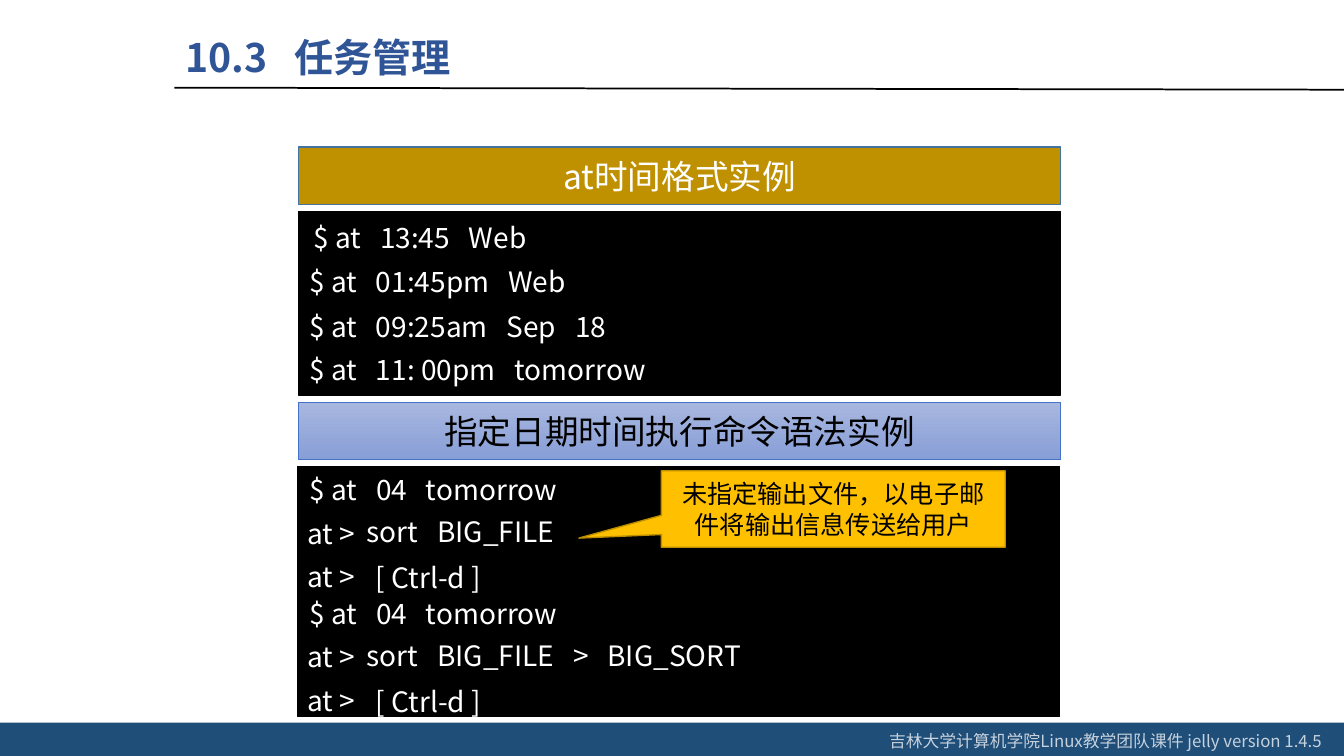
import pptx
import pptx.util
import pptx.dml.color
import pptx.enum.shapes
import pptx.enum.text
import pptx.oxml.ns
from lxml import etree

Inches, Pt = pptx.util.Inches, pptx.util.Pt
SHAPE = pptx.enum.shapes.MSO_SHAPE
ALIGN = pptx.enum.text.PP_ALIGN
qn = pptx.oxml.ns.qn

FONT = "Noto Sans CJK SC"
COLORS = {
    "white": "FFFFFF", "black": "000000", "navy": "1F4E79", "title": "2F5597",
    "gold": "BF9000", "steel": "43739E", "blue": "4472C4",
    "light": "A8B7DF", "deep": "889ED7", "amber": "FFC000", "brown": "BD8E00",
}


def rgb(name):
    return pptx.dml.color.RGBColor.from_string(COLORS[name])


def write(frame, text, size, color, bold=False, align=ALIGN.LEFT, tab=None):
    """Fill a text frame with one paragraph."""
    frame.word_wrap = True
    para = frame.paragraphs[0]
    para.text = text
    para.alignment = align
    if tab:
        tabs = etree.SubElement(para._p.get_or_add_pPr(), qn("a:tabLst"))
        etree.SubElement(tabs, qn("a:tab"), pos=str(Inches(tab)), algn="l")
    font = para.font
    font.name, font.size, font.bold = FONT, Pt(size), bold
    font.color.rgb = rgb(color)
    props = para._p.pPr.find(qn("a:defRPr"))
    etree.SubElement(props, qn("a:ea"), typeface=FONT)
    return para


def add_text(slide, box, text, size, color, **style):
    area = slide.shapes.add_textbox(*map(Inches, box))
    return write(area.text_frame, text, size, color, **style)


def add_box(slide, box, fill, line=None, width=1, kind=SHAPE.RECTANGLE):
    shape = slide.shapes.add_shape(kind, *map(Inches, box))
    shape.shadow.inherit = False
    shape.fill.solid()
    shape.fill.fore_color.rgb = rgb(fill)
    if line:
        shape.line.color.rgb = rgb(line)
        shape.line.width = Pt(width)
    else:
        shape.line.fill.background()
    return shape


def add_label(shape, text, size, color):
    frame = shape.text_frame
    frame.vertical_anchor = pptx.enum.text.MSO_ANCHOR.MIDDLE
    write(frame, text, size, color, align=ALIGN.CENTER)


def add_rule(slide, start, end):
    line = slide.shapes.add_connector(
        pptx.enum.shapes.MSO_CONNECTOR.STRAIGHT, *map(Inches, start + end))
    line.line.color.rgb = rgb("black")
    line.line.width = Pt(1.25)
    etree.SubElement(line._element.spPr, qn("a:effectLst"))


def add_code(slide, rows):
    for left, top, width, text in rows:
        add_text(slide, (left, top, width, 0.44), text, 20, "white")


def add_frame(slide):
    """Footer band, title and rule."""
    add_box(slide, (0, 7.17, 13.34, 0.36), "navy")
    add_rule(slide, (1.73, 0.87), (13.34, 0.89))
    foot = add_text(slide, (8.72, 7.2, 4.53, 0.3),
                    "吉林大学计算机学院Linux教学团队课件 jelly version 1.4.5",
                    12, "white")
    tint = next(foot._p.pPr.iter(qn("a:srgbClr")))
    etree.SubElement(tint, qn("a:alpha"), val="75000")
    add_text(slide, (1.74, 0.28, 7.48, 0.57), "10.3\t任务管理", 28, "title",
             bold=True, tab=1.08)


def main():
    deck = pptx.Presentation()
    deck.slide_width, deck.slide_height = Inches(13.33), Inches(7.5)
    slide = deck.slides.add_slide(deck.slide_layouts[6])
    add_frame(slide)

    # Panel headings
    head = add_box(slide, (2.96, 1.46, 7.56, 0.57), "gold", "steel")
    add_label(head, "at时间格式实例", 24, "white")
    head = add_box(slide, (2.96, 3.99, 7.56, 0.57), "light", "blue", 0.5)
    head.fill.gradient()
    head.fill.gradient_angle = 270
    for stop, name in zip(head.fill.gradient_stops, ("light", "deep")):
        stop.color.rgb = rgb(name)
    add_label(head, "指定日期时间执行命令语法实例", 24, "black")

    # Time formats
    add_box(slide, (2.96, 2.1, 7.56, 1.82), "black", "black")
    add_code(slide, [
        (3.01, 2.14, 3.41, "$ at   13:45   Web"),
        (2.97, 2.57, 4.04, "$ at   01:45pm   Web"),
        (2.97, 3.02, 4.04, "$ at   09:25am   Sep   18"),
        (2.97, 3.45, 4.33, "$ at   11: 00pm   tomorrow"),
    ])

    # Two sessions: without and with an output file
    add_box(slide, (2.95, 4.63, 7.56, 2.48), "black", "black")
    for top, sort in ((4.64, "sort   BIG_FILE"),
                      (5.87, "sort   BIG_FILE   >   BIG_SORT")):
        add_code(slide, [
            (2.97, top, 3.41, "$ at   04   tomorrow"),
            (2.95, top + 0.43, 0.77, "at >"),
            (3.54, top + 0.42, 4.43, sort),
            (2.95, top + 0.86, 0.77, "at >"),
            (3.63, top + 0.87, 4.04, "[ Ctrl-d ]"),
        ])

    # Callout
    note = add_box(slide, (6.56, 4.67, 3.41, 0.76), "amber", "brown",
                   kind=SHAPE.RECTANGULAR_CALLOUT)
    note.adjustments[0], note.adjustments[1] = -0.74, 0.38
    add_label(note, "未指定输出文件，以电子邮件将输出信息传送给用户", 18, "black")

    deck.save("out.pptx")


if __name__ == "__main__":
    main()
